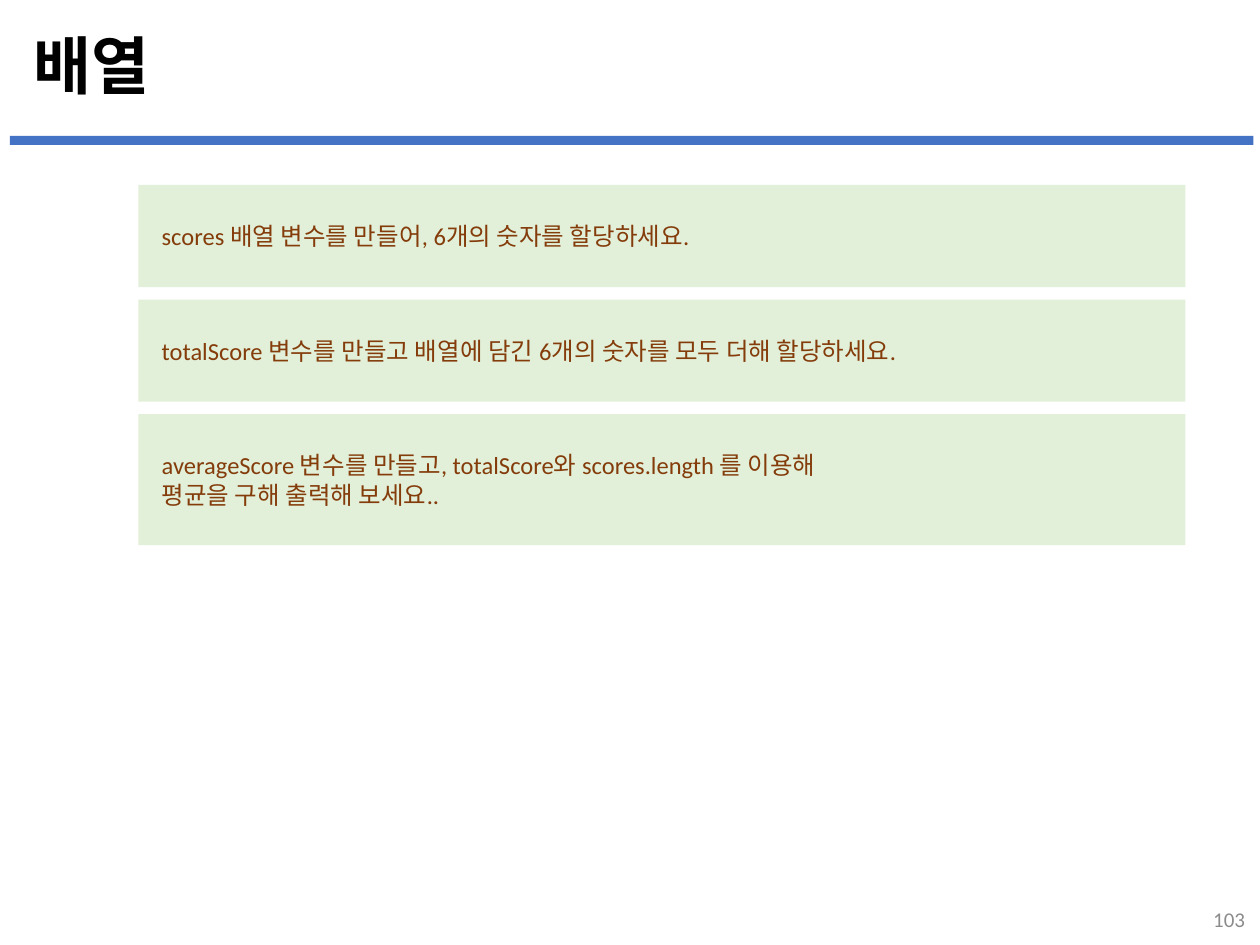
"""Build the array exercise slide with three task panels."""
from pptx import Presentation
from pptx.dml.color import RGBColor
from pptx.enum import shapes, text
from pptx.util import Cm, Pt

COLORS = {
    "title": "000000",
    "rule": "4472C4",
    "panel": "E2F0D9",
    "task": "843C0B",
    "number": "8C8C8C",
}
TASKS = [
    (["scores 배열 변수를 만들어, 6개의 숫자를 할당하세요."], 2.06),
    (["totalScore 변수를 만들고 배열에 담긴 6개의 숫자를 모두 더해 할당하세요."], 2.06),
    (["averageScore 변수를 만들고, totalScore와 scores.length 를 이용해",
      "평균을 구해 출력해 보세요.."], 2.64),
]
PANEL_GAP = 0.25


def write_lines(frame, lines, size, color, font="Calibri", bold=False,
                align=text.PP_ALIGN.LEFT):
    frame.text = "\n".join(lines)
    frame.word_wrap = True
    frame.vertical_anchor = text.MSO_ANCHOR.MIDDLE
    for paragraph in frame.paragraphs:
        paragraph.alignment = align
        paragraph.font.name = font
        paragraph.font.size = Pt(size)
        paragraph.font.bold = bold
        paragraph.font.color.rgb = RGBColor.from_string(COLORS[color])


def add_block(slide, left, top, width, height, color):
    block = slide.shapes.add_shape(shapes.MSO_SHAPE.RECTANGLE,
                                   Cm(left), Cm(top), Cm(width), Cm(height))
    block.shadow.inherit = False
    block.fill.solid()
    block.fill.fore_color.rgb = RGBColor.from_string(COLORS[color])
    block.line.fill.background()
    return block


def set_title(slide, heading):
    title = slide.shapes.title
    title.left, title.top = Cm(0.43), Cm(0.56)
    title.width, title.height = Cm(24.54), Cm(1.68)
    write_lines(title.text_frame, [heading], 36, "title", "Arial", True)
    title.text_frame.paragraphs[0].line_spacing = 0.9


def add_task(slide, top, height, lines):
    panel = add_block(slide, 2.79, top, 21.11, height, "panel")
    panel.text_frame.margin_left = Cm(0.47)
    write_lines(panel.text_frame, lines, 14, "task")


def add_page_number(slide, number):
    page_number = slide.shapes.add_textbox(Cm(19.63), Cm(18.01), Cm(5.72), Cm(1.02))
    write_lines(page_number.text_frame, [number], 12, "number",
                align=text.PP_ALIGN.RIGHT)


def main():
    deck = Presentation()
    deck.slide_width, deck.slide_height = Cm(25.4), Cm(19.05)
    slide = deck.slides.add_slide(deck.slide_layouts[5])
    add_block(slide, 0.2, 2.74, 25.07, 0.18, "rule")
    set_title(slide, "배열")
    top = 3.73
    for lines, height in TASKS:
        add_task(slide, top, height, lines)
        top += height + PANEL_GAP
    add_page_number(slide, "103")
    deck.save("out.pptx")


if __name__ == "__main__":
    main()
